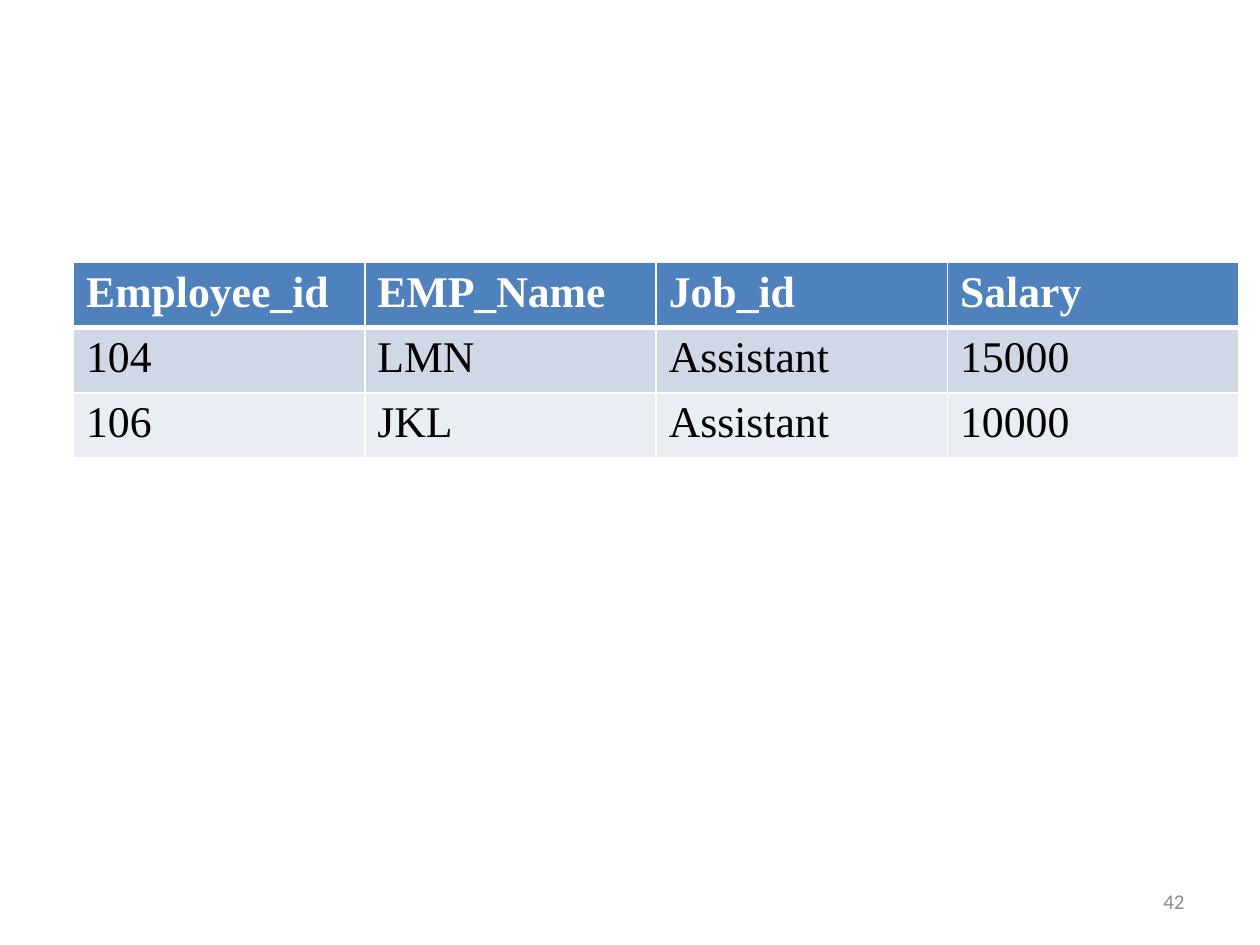
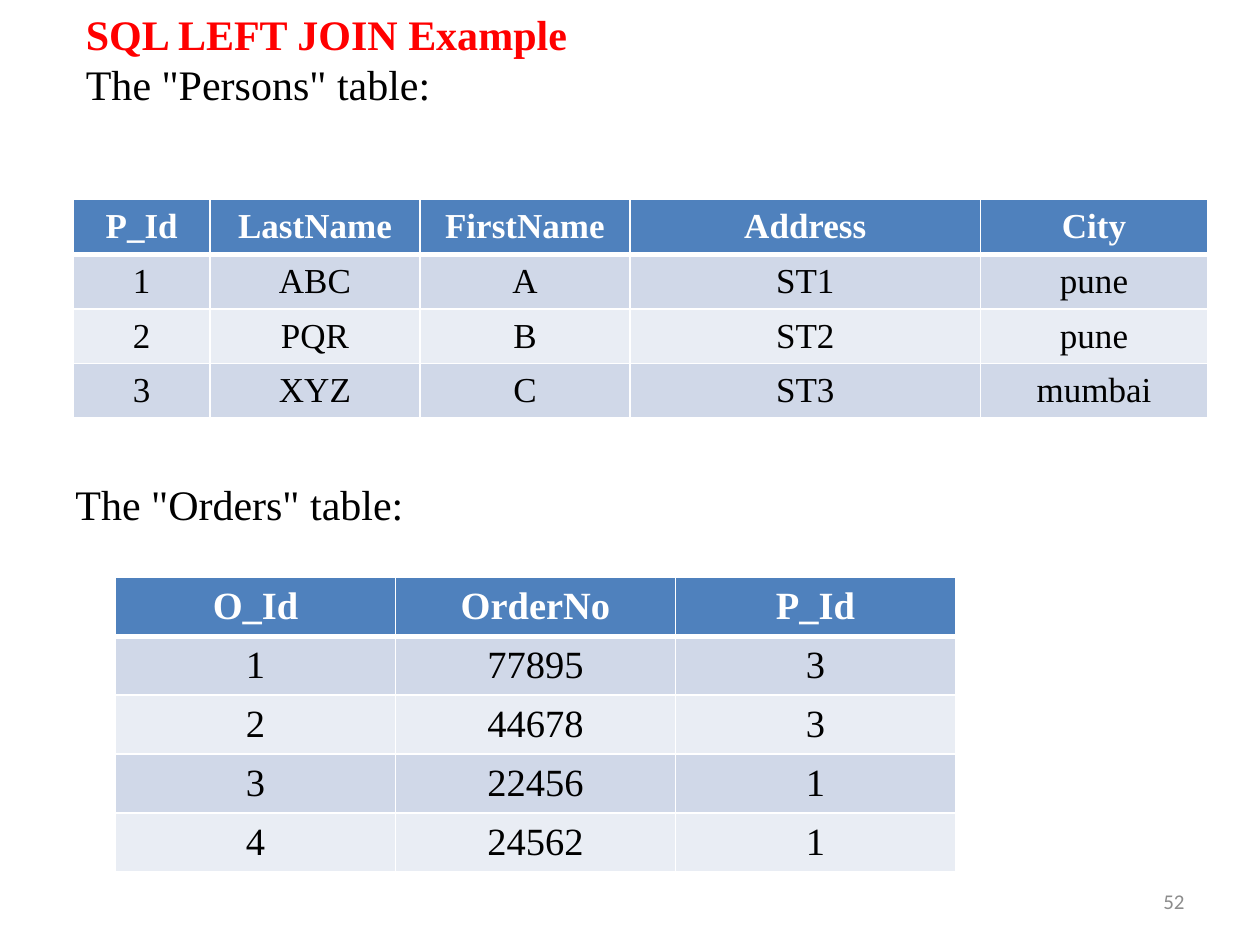
from lxml import etree
from pptx import Presentation
from pptx.dml.color import RGBColor as RGB
from pptx.enum.text import MSO_ANCHOR as ANCHOR, PP_ALIGN as ALIGN
from pptx.oxml.ns import qn
from pptx.util import Inches, Pt

COLORS = {
    "title": "FF0000",
    "text": "000000",
    "footer": "8C8C8C",
    "white": "FFFFFF",
    "header": "4F81BD",
    "odd": "D0D8E8",
    "even": "E9EDF4",
}
SERIF, SANS = "Times New Roman", "Calibri"
COLS, ROWS = 120, 90


class Deck:
    def __init__(self):
        self.prs = Presentation()
        self.prs.slide_width, self.prs.slide_height = Inches(10), Inches(7.5)
        self.s = None

    def x(self, cols):
        return round(self.prs.slide_width * cols / COLS)

    def y(self, rows):
        return round(self.prs.slide_height * rows / ROWS)

    def box(self, left, top, width, height):
        return self.x(left), self.y(top), self.x(width), self.y(height)

    def slide(self, number):
        self.s = self.prs.slides.add_slide(self.prs.slide_layouts[6])
        self.text((86, 83.4, 28, 4.8), [(number, {"size": 12, "name": SANS, "color": "footer"})],
                  align=ALIGN.RIGHT, anchor=ANCHOR.MIDDLE)

    def run(self, p, text, size=24, name=SERIF, color="text", bold=False):
        r = p.add_run()
        r.text = text
        for key, value in {"size": Pt(size), "name": name, "bold": bold}.items():
            setattr(r.font, key, value)
        r.font.color.rgb = RGB.from_string(COLORS[color])

    def text(self, place, lines, align=ALIGN.LEFT, anchor=ANCHOR.TOP, spacing=None, bottom=0.6):
        tf = self.s.shapes.add_textbox(*self.box(*place)).text_frame
        for key, value in {"word_wrap": True, "vertical_anchor": anchor,
                           "margin_bottom": self.y(bottom)}.items():
            setattr(tf, key, value)
        p = tf.paragraphs[0]
        p.alignment = align
        if spacing:
            p.line_spacing = Pt(spacing)
        for i, (line, style) in enumerate(lines):
            if i:
                p.add_line_break()
            self.run(p, line, **style)

    def title(self, heading, caption):
        self.text((7, 0, 108, 16), [(heading, {"color": "title", "bold": True}), (caption, {})],
                  anchor=ANCHOR.MIDDLE, spacing=28.5, bottom=5.4)

    def borders(self, cell, widths):
        tc_pr = cell._tc.get_or_add_tcPr()
        for i, (side, width) in enumerate(widths.items()):
            ln = etree.Element(qn(f"a:ln{side}"), w=str(Pt(width)))
            fill = etree.SubElement(ln, qn("a:solidFill"))
            etree.SubElement(fill, qn("a:srgbClr"), val=COLORS["white"])
            tc_pr.insert(i, ln)

    def table(self, place, widths, row_height, rows, size,
              align=ALIGN.CENTER, anchor=ANCHOR.MIDDLE):
        frame = self.s.shapes.add_table(len(rows), len(widths), *self.box(*place))
        table = frame.table
        for col, width in zip(table.columns, widths):
            col.width = self.x(width)
        for i, values in enumerate(rows):
            table.rows[i].height = self.y(row_height)
            head = i == 0
            fill = "header" if head else "odd" if i % 2 else "even"
            edges = {"L": 1, "R": 1, "T": 3 if i == 1 else 1, "B": 3 if head else 1}
            for j, value in enumerate(values):
                cell = table.cell(i, j)
                cell.vertical_anchor = anchor
                cell.fill.solid()
                cell.fill.fore_color.rgb = RGB.from_string(COLORS[fill])
                self.borders(cell, edges)
                p = cell.text_frame.paragraphs[0]
                p.alignment = align
                self.run(p, value, size, color="white" if head else "text", bold=head)
        frame.height = self.y(place[3])


def main():
    deck = Deck()

    deck.slide("42")
    employees = [
        ("Employee_id", "EMP_Name", "Job_id", "Salary"),
        ("104", "LMN", "Assistant", "15000"),
        ("106", "JKL", "Assistant", "10000"),
    ]
    deck.table((7, 25, 111, 18.6), [111 / 4] * 4, 4, employees, 25, ALIGN.LEFT, ANCHOR.TOP)

    deck.slide("52")
    deck.title("SQL LEFT JOIN Example", 'The "Persons" table:')
    persons = [
        ("P_Id", "LastName", "FirstName", "Address", "City"),
        ("1", "ABC", "A", "ST1", "pune"),
        ("2", "PQR", "B", "ST2", "pune"),
        ("3", "XYZ", "C", "ST3", "mumbai"),
    ]
    deck.table((7, 19, 108, 20.8), [13, 20, 20, 33.4, 21.6], 4.9, persons, 20)
    deck.text((6, 45, 44, 6), [('The "Orders" table:', {})])
    orders = [
        ("O_Id", "OrderNo", "P_Id"),
        ("1", "77895", "3"),
        ("2", "44678", "3"),
        ("3", "22456", "1"),
        ("4", "24562", "1"),
    ]
    deck.table((11, 55, 80, 28), [80 / 3] * 3, 4.9, orders, 22)

    deck.prs.save("out.pptx")


if __name__ == "__main__":
    main()
